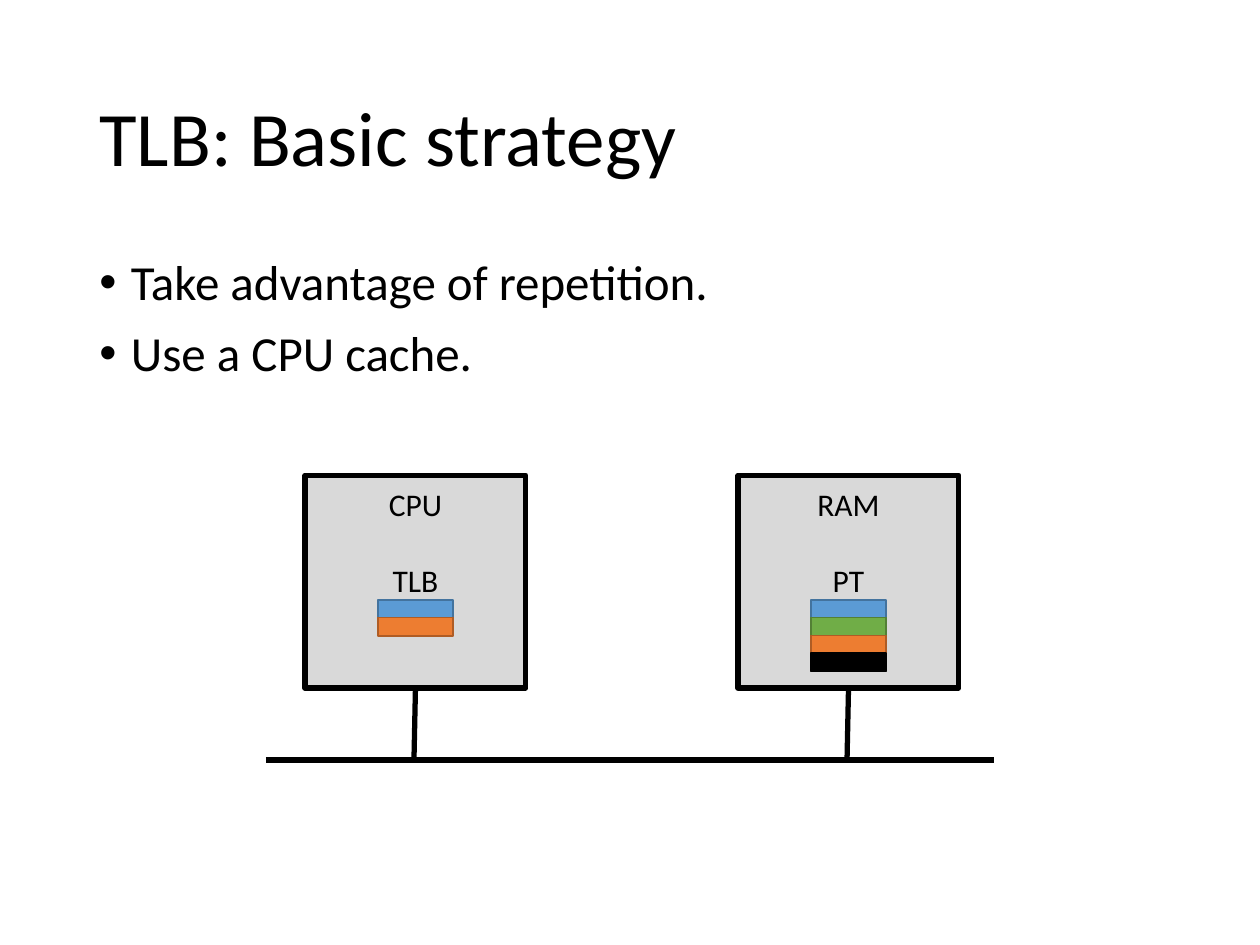
from lxml import etree
from pptx import Presentation
from pptx import util as u
from pptx.dml.color import RGBColor
from pptx.enum import shapes, text
from pptx.oxml.ns import qn

FONT = "Calibri"
BLACK = RGBColor(0x00, 0x00, 0x00)
GREY = RGBColor(0xD9, 0xD9, 0xD9)
BLUE = RGBColor(0x5B, 0x9B, 0xD5)
DARK_BLUE = RGBColor(0x43, 0x73, 0x9E)
GREEN = RGBColor(0x70, 0xAD, 0x47)
DARK_GREEN = RGBColor(0x53, 0x80, 0x35)
ORANGE = RGBColor(0xED, 0x7D, 0x31)
DARK_ORANGE = RGBColor(0xAF, 0x5C, 0x24)
BLUE_ENTRY = (BLUE, DARK_BLUE)
GREEN_ENTRY = (GREEN, DARK_GREEN)
ORANGE_ENTRY = (ORANGE, DARK_ORANGE)
BLACK_ENTRY = (BLACK, BLACK)
BUS_TOP = 15.32


def write(para, words, size=18, align=text.PP_ALIGN.LEFT, before=0, spacing=1.0, bullet=None):
    """Fill a paragraph with formatted words."""
    span = para.add_run()
    span.text = words
    span.font.name = FONT
    span.font.size = u.Pt(size)
    span.font.color.rgb = BLACK
    para.alignment = align
    para.space_before = u.Pt(before)
    para.line_spacing = spacing
    if bullet:
        props = para._p.get_or_add_pPr()
        props.set("marL", str(u.Cm(0.635)))
        props.set("indent", str(u.Cm(-0.635)))
        etree.SubElement(props, qn("a:buFont"), typeface="Arial")
        etree.SubElement(props, qn("a:buChar"), char=bullet)


def place(shape, left, top, width, height):
    """Move and size a shape, in centimetres."""
    shape.left, shape.top = u.Cm(left), u.Cm(top)
    shape.width, shape.height = u.Cm(width), u.Cm(height)


def add_box(page, left, top, width, height, fill, line, weight):
    """Add a flat rectangle with an outline."""
    box = page.shapes.add_shape(
        shapes.MSO_SHAPE.RECTANGLE, u.Cm(left), u.Cm(top), u.Cm(width), u.Cm(height))
    box.shadow.inherit = False
    box.fill.solid()
    box.fill.fore_color.rgb = fill
    box.line.color.rgb = line
    box.line.width = u.Pt(weight)
    return box


def add_line(page, start, end):
    """Add a thick black straight line between two points."""
    line = page.shapes.add_connector(
        shapes.MSO_CONNECTOR.STRAIGHT, *(u.Cm(value) for value in (*start, *end)))
    line.line.color.rgb = BLACK
    line.line.width = u.Pt(3)
    etree.SubElement(line._element.spPr, qn("a:effectLst"))
    return line


def add_heading(page, left, top, width, height, words):
    """Place the slide title."""
    title = page.shapes.title
    place(title, left, top, width, height)
    title.text_frame.vertical_anchor = text.MSO_ANCHOR.MIDDLE
    write(title.text_frame.paragraphs[0], words, size=44, spacing=0.9)


def add_list(page, left, top, width, height, items):
    """Place the bulleted list."""
    body = page.placeholders[1]
    place(body, left, top, width, height)
    frame = body.text_frame
    for index, item in enumerate(items):
        para = frame.add_paragraph() if index else frame.paragraphs[0]
        write(para, item, size=28, before=10, spacing=0.9, bullet="•")


def add_unit(page, left, top, width, height, name, table, entries):
    """Draw a hardware unit, its table of entries and its link to the bus."""
    unit = add_box(page, left, top, width, height, GREY, BLACK, 3)
    frame = unit.text_frame
    frame.vertical_anchor = text.MSO_ANCHOR.TOP
    frame.margin_top = u.Cm(0.2)
    write(frame.paragraphs[0], name, align=text.PP_ALIGN.CENTER)
    write(frame.add_paragraph(), table, align=text.PP_ALIGN.CENTER, before=22)
    entry_width, entry_height, step = 1.52, 0.37, 0.36
    entry_left = left + (width - entry_width) / 2
    for row, (fill, line) in enumerate(entries):
        add_box(page, entry_left, top + 2.51 + row * step,
                entry_width, entry_height, fill, line, 1)
    middle = left + width / 2
    link = add_line(page, (middle, top + height), (middle - 0.03, BUS_TOP))
    link.begin_connect(unit, 2)


def main():
    """Build and save the deck."""
    deck = Presentation()
    deck.slide_width, deck.slide_height = u.Cm(25.4), u.Cm(19.05)
    page = deck.slides.add_slide(deck.slide_layouts[1])
    add_heading(page, 1.75, 1.02, 21.9, 3.68, "TLB: Basic strategy")
    add_list(page, 1.75, 5.08, 21.9, 12.09,
             ["Take advantage of repetition.", "Use a CPU cache."])
    add_line(page, (5.36, BUS_TOP), (20.04, BUS_TOP))
    add_unit(page, 6.15, 9.58, 4.45, 4.29, "CPU", "TLB", [BLUE_ENTRY, ORANGE_ENTRY])
    add_unit(page, 14.88, 9.58, 4.45, 4.29, "RAM", "PT",
             [BLUE_ENTRY, GREEN_ENTRY, ORANGE_ENTRY, BLACK_ENTRY])
    deck.save("out.pptx")


if __name__ == "__main__":
    main()
